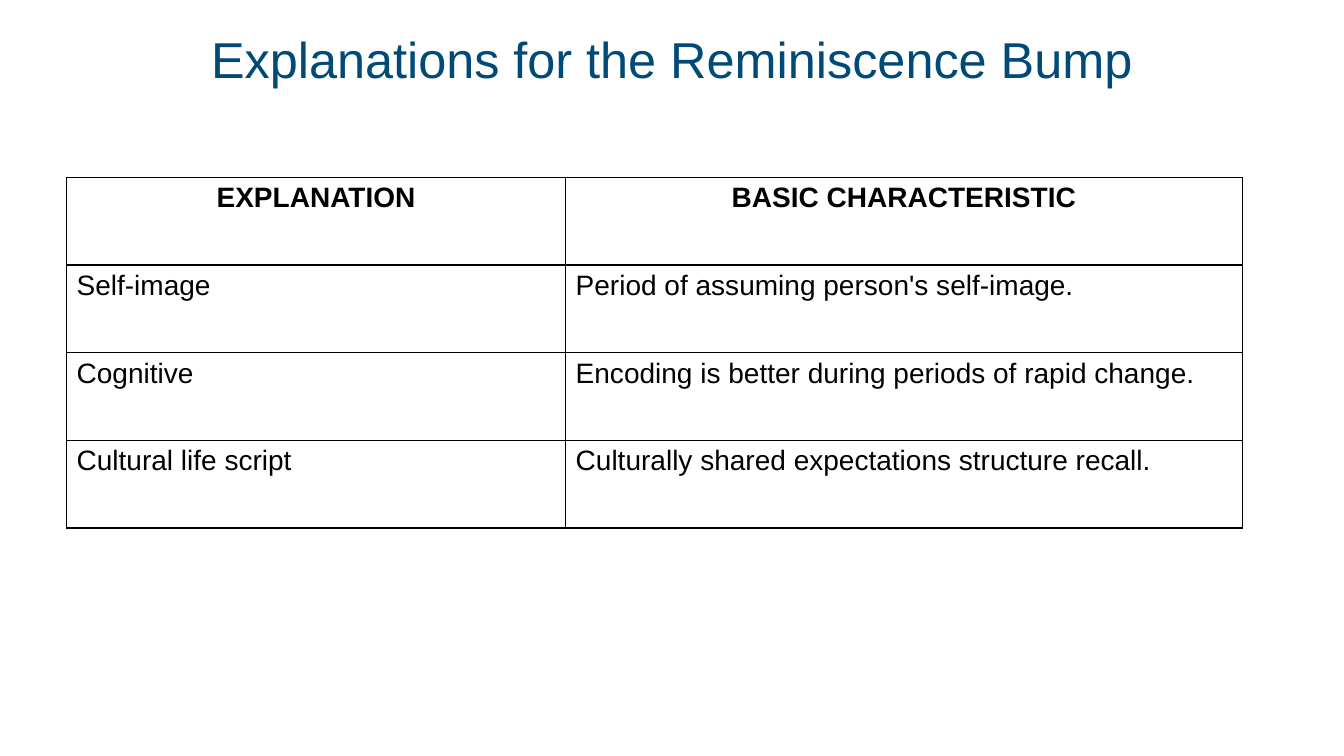
"""Build the slide on explanations for the reminiscence bump."""
import dataclasses

import lxml.etree
import pptx
import pptx.dml.color
import pptx.enum.text
import pptx.oxml.ns
import pptx.util

Inches = pptx.util.Inches
Pt = pptx.util.Pt
RGB = pptx.dml.color.RGBColor
CENTER = pptx.enum.text.PP_ALIGN.CENTER
qn = pptx.oxml.ns.qn


@dataclasses.dataclass(frozen=True)
class Theme:
    font: str = "Arial"
    title_color: str = "004A78"
    text_color: str = "000000"
    border_color: str = "000000"
    title_size: int = 36
    table_size: int = 20
    border_width: int = 1


theme = Theme()


def style(p, size, color, bold=False):
    for r in p.runs:
        r.font.name = theme.font
        r.font.size = Pt(size)
        r.font.bold = bold
        r.font.color.rgb = RGB.from_string(color)


def add_borders(cell):
    tc_pr = cell._tc.get_or_add_tcPr()
    for i, side in enumerate(("a:lnL", "a:lnR", "a:lnT", "a:lnB")):
        ln = lxml.etree.Element(qn(side), w=str(Pt(theme.border_width)))
        fill = lxml.etree.SubElement(ln, qn("a:solidFill"))
        lxml.etree.SubElement(fill, qn("a:srgbClr"), val=theme.border_color)
        tc_pr.insert(i, ln)


prs = pptx.Presentation()
prs.slide_width = Inches(13.33)
prs.slide_height = Inches(7.5)
s = prs.slides.add_slide(prs.slide_layouts[6])

title = s.shapes.add_textbox(Inches(0.11), Inches(0.08), Inches(13.11), Inches(1.08))
tf = title.text_frame
tf.word_wrap = True
tf.vertical_anchor = pptx.enum.text.MSO_ANCHOR.MIDDLE
tf.margin_left = tf.margin_right = tf.margin_top = tf.margin_bottom = 0
tf.text = "Explanations for the Reminiscence Bump"
p = tf.paragraphs[0]
p.alignment = CENTER
p.line_spacing = 0.9
style(p, theme.title_size, theme.title_color)

rows = [
    ("EXPLANATION", "BASIC CHARACTERISTIC"),
    ("Self-image", "Period of assuming person's self-image."),
    ("Cognitive", "Encoding is better during periods of rapid change."),
    ("Cultural life script", "Culturally shared expectations structure recall."),
]
col_widths = (4.95, 6.71)
row_height = 0.87

frame = s.shapes.add_table(
    len(rows), len(col_widths), Inches(0.66), Inches(1.76),
    Inches(sum(col_widths)), Inches(row_height * len(rows)),
)
table = frame.table
table.horz_banding = False
table.first_row = True
for column, width in zip(table.columns, col_widths):
    column.width = Inches(width)

for i, texts in enumerate(rows):
    table.rows[i].height = Inches(row_height)
    for j, text in enumerate(texts):
        cell = table.cell(i, j)
        cell.fill.background()
        add_borders(cell)
        cell.text_frame.text = text
        p = cell.text_frame.paragraphs[0]
        if i == 0:
            p.alignment = CENTER
        style(p, theme.table_size, theme.text_color, bold=i == 0)

prs.save("out.pptx")
